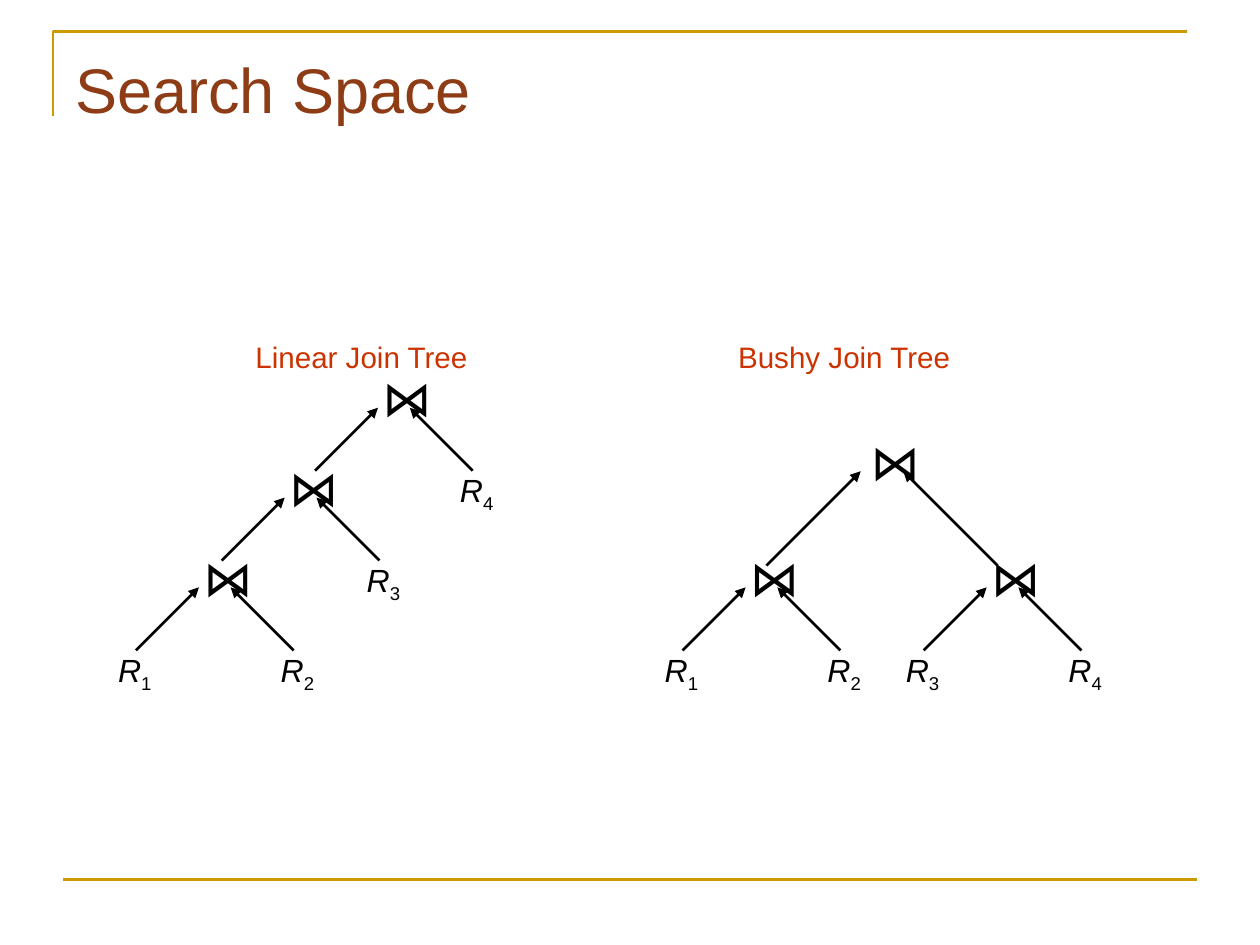
from dataclasses import dataclass

from lxml import etree
from pptx import Presentation
from pptx.dml.color import RGBColor
from pptx.enum.shapes import MSO_CONNECTOR
from pptx.enum.text import MSO_ANCHOR, MSO_AUTO_SIZE
from pptx.oxml.ns import qn
from pptx.util import Cm, Pt

STRAIGHT = MSO_CONNECTOR.STRAIGHT
TOP = MSO_ANCHOR.TOP
GROW = MSO_AUTO_SIZE.SHAPE_TO_FIT_TEXT
FIXED = MSO_AUTO_SIZE.NONE


@dataclass(frozen=True)
class Theme:
    gold: str = "CC9900"
    brown: str = "8D3C15"
    red: str = "CC3300"
    black: str = "000000"
    font: str = "Arial"
    math: str = "Noto Sans CJK JP"
    title: float = 36
    label: float = 16.9
    leaf: float = 18.3
    join: float = 28.1
    line: float = 1.5


def add_text(para, text, *, size, color, font, italic=False, base=None):
    """Add one run of text in the given format."""
    run = para.add_run()
    run.text = text
    run.font.size = Pt(size)
    run.font.name = font
    run.font.italic = italic
    run.font.color.rgb = RGBColor.from_string(color)
    props = run.font._element
    for tag in ("a:ea", "a:sym"):
        etree.SubElement(props, qn(tag), typeface=font)
    if base is not None:
        props.set("baseline", str(base * 1000))


class Board:
    """Holds the theme and the current slide; lengths are centimetres."""

    def __init__(self, slide, theme):
        self.shapes = slide.shapes
        self.theme = theme

    def box(self, x, y, wide, high, wrap=False, top=0.13):
        shape = self.shapes.add_textbox(Cm(x), Cm(y), Cm(wide), Cm(high))
        frame = shape.text_frame
        frame.word_wrap = wrap
        frame.auto_size = FIXED if wrap else GROW
        frame.vertical_anchor = TOP
        frame.margin_left = frame.margin_right = Cm(0.25)
        frame.margin_top, frame.margin_bottom = Cm(top), Cm(0.13)
        return frame.paragraphs[0]

    def title(self, text):
        t = self.theme
        para = self.box(1.27, 0.76, 22.86, 3.18, wrap=True, top=0.25)
        add_text(para, text, size=t.title, color=t.brown, font=t.font)

    def label(self, text, x, y):
        t = self.theme
        para = self.box(x, y, 4.8, 0.97)
        add_text(para, text, size=t.label, color=t.red, font=t.font)

    def leaf(self, num, x, y):
        t = self.theme
        para = self.box(x, y, 1.22, 1.04)
        style = dict(size=t.leaf, color=t.black, font=t.font)
        add_text(para, "R", italic=True, **style)
        add_text(para, str(num), base=-25, **style)

    def join(self, x, y):
        t = self.theme
        para = self.box(x, y, 1.02, 1.45)
        add_text(para, "⋈", size=t.join, color=t.black, font=t.math)

    def line(self, start, end, color, arrow=False):
        ends = [Cm(v) for v in (*start, *end)]
        line = self.shapes.add_connector(STRAIGHT, *ends)
        line.line.color.rgb = RGBColor.from_string(color)
        line.line.width = Pt(self.theme.line)
        if arrow:
            etree.SubElement(line.line._ln, qn("a:tailEnd"), type="triangle")
        etree.SubElement(line._element.spPr, qn("a:effectLst"))

    def frame(self, points):
        first, *rest = [(Cm(x), Cm(y)) for x, y in points]
        path = self.shapes.build_freeform(*first)
        path.add_line_segments(rest, close=False)
        shape = path.convert_to_shape()
        shape.shadow.inherit = False
        shape.fill.background()
        shape.line.color.rgb = RGBColor.from_string(self.theme.gold)
        shape.line.width = Pt(self.theme.line)

    def node(self, x, foot, left=None, right=None, reach=1.27, gap=0.32):
        """Join centred on x, two arrows rising from foot, optional leaves."""
        tip = foot - reach
        for side in (-1, 1):
            self.line((x + side * (gap + reach), foot), (x + side * gap, tip),
                      self.theme.black, arrow=True)
        self.join(x - 0.48, tip - 0.94)
        for num, shift in ((left, -2.2), (right, 1.08)):
            if num:
                self.leaf(num, x + shift, foot - 0.13)


def main():
    deck = Presentation()
    deck.slide_width, deck.slide_height = Cm(25.4), Cm(19.05)
    theme = Theme()
    board = Board(deck.slides.add_slide(deck.slide_layouts[6]), theme)

    # Page frame and title
    board.frame([(1.07, 2.34), (1.07, 0.64), (23.93, 0.64)])
    board.line((1.27, 17.73), (24.13, 17.73), theme.gold)
    board.title("Search Space")

    # Linear tree: each level adds one leaf on the right
    board.label("Linear Join Tree", 4.9, 6.71)
    base, step = 13.11, 1.81
    for level, x in enumerate((4.33, 6.06, 7.94)):
        board.node(x, base - level * step,
                   left=None if level else 1, right=level + 2)

    # Bushy tree: two pairs under one wide join
    board.label("Bushy Join Tree", 14.63, 6.71)
    board.node(15.35, base, left=1, right=2)
    board.node(20.21, base, left=3, right=4)
    board.node(17.78, 11.4, reach=1.9, gap=0.43)

    deck.save("out.pptx")


if __name__ == "__main__":
    main()
